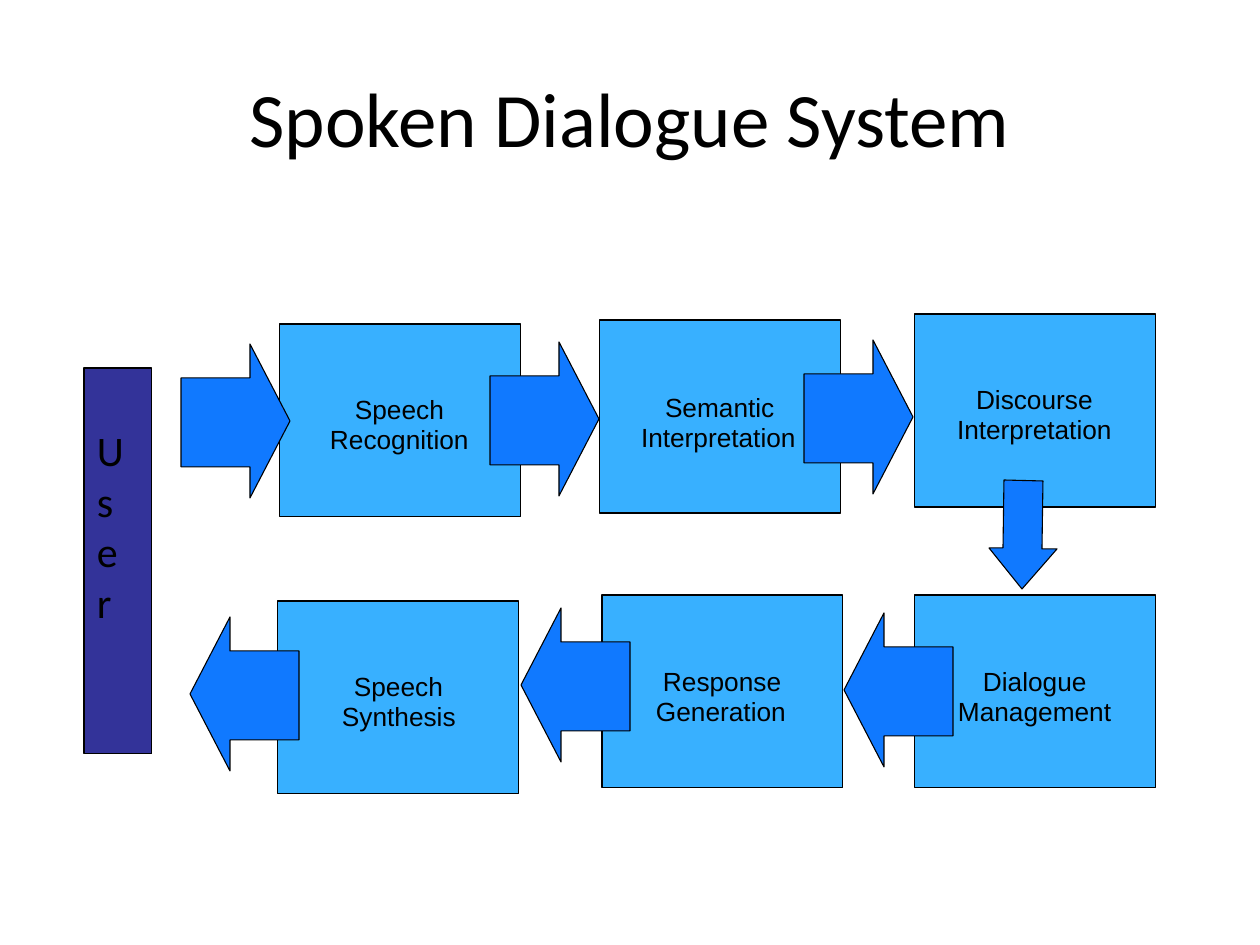
import pptx
import pptx.util
import pptx.dml.color
import pptx.enum.shapes
import pptx.enum.text

EMU_PER_PX = 914400 / 126
ANCHOR = pptx.enum.text.MSO_ANCHOR
ALIGN = pptx.enum.text.PP_ALIGN
AUTO_SIZE = pptx.enum.text.MSO_AUTO_SIZE

ARROW_RIGHT = [(69, 154), (69, 123), (0, 123), (0, 34), (69, 34), (69, 0), (109, 77)]
ARROW_LEFT = [(109 - x, y) for x, y in ARROW_RIGHT]
ARROW_DOWN = [(0, 68), (14, 68), (15, 0), (54, 1), (53, 69), (68, 69), (33, 109)]


def px(length):
    return pptx.util.Emu(round(length * EMU_PER_PX))


def rgb(code):
    return pptx.dml.color.RGBColor.from_string(code)


def write(frame, text, *, font, size, color="000000", align=ALIGN.LEFT,
          anchor=ANCHOR.TOP, margins=(13, 6, 13, 6), wrap=True, fit=AUTO_SIZE.NONE):
    frame.margin_left, frame.margin_top, frame.margin_right, frame.margin_bottom = map(px, margins)
    frame.word_wrap = wrap
    frame.auto_size = fit
    frame.vertical_anchor = anchor
    paragraph = frame.paragraphs[0]
    paragraph.alignment = align
    run = paragraph.add_run()
    run.text = text
    run.font.name = font
    run.font.size = pptx.util.Pt(size)
    run.font.color.rgb = rgb(color)


class DialogueDiagram:
    heading_font = "Calibri"
    label_font = "Arial"
    outline = "000000"
    stage_fill = "38B0FF"
    arrow_fill = "1079FF"
    user_fill = "333399"
    stage_size = (241, 193)
    line_pitch = 30

    def __init__(self, slide):
        self.slide = slide

    def paint(self, shape, fill):
        shape.shadow.inherit = False
        shape.fill.solid()
        shape.fill.fore_color.rgb = rgb(fill)
        shape.line.color.rgb = rgb(self.outline)
        shape.line.width = pptx.util.Pt(0.63)

    def title(self, text, left, top, width, height):
        heading = self.slide.shapes.add_textbox(px(left), px(top), px(width), px(height))
        write(heading.text_frame, text, font=self.heading_font, size=44,
              align=ALIGN.CENTER, anchor=ANCHOR.MIDDLE)

    def box(self, left, top, width, height, fill):
        rectangle = self.slide.shapes.add_shape(
            pptx.enum.shapes.MSO_SHAPE.RECTANGLE, px(left), px(top), px(width), px(height))
        self.paint(rectangle, fill)
        return rectangle

    def stage(self, left, top, label_top, words):
        self.box(left, top, *self.stage_size, self.stage_fill)
        for row, (word, word_left, word_width) in enumerate(words):
            label = self.slide.shapes.add_textbox(
                px(word_left), px(label_top + row * self.line_pitch), px(word_width), px(34))
            write(label.text_frame, word, font=self.label_font, size=15,
                  margins=(0, 0, 0, 0), wrap=False, fit=AUTO_SIZE.SHAPE_TO_FIT_TEXT)

    def arrow(self, left, top, outline):
        corners = [(px(left + x), px(top + y)) for x, y in outline]
        builder = self.slide.shapes.build_freeform(*corners[0])
        builder.add_line_segments(corners[1:], close=True)
        self.paint(builder.convert_to_shape(), self.arrow_fill)

    def user(self, text, left, top, width, height):
        bar = self.box(left, top, width, height, self.user_fill)
        write(bar.text_frame, text, font=self.heading_font, size=24, margins=(13, 57, 13, 6))


STAGES = [
    (278, 601, 670, [("Speech", 354, 103), ("Synthesis", 342, 120)]),
    (280, 324, 393, [("Speech", 355, 103), ("Recognition", 330, 144)]),
    (600, 320, 391, [("Semantic", 665, 122), ("Interpretation", 641, 159)]),
    (602, 595, 665, [("Response", 663, 131), ("Generation", 656, 135)]),
    (915, 595, 665, [("Dialogue", 983, 117), ("Management", 958, 158)]),
    (915, 314, 383, [("Discourse", 976, 130), ("Interpretation", 957, 159)]),
]

ARROWS = [
    (490, 342, ARROW_RIGHT),
    (804, 340, ARROW_RIGHT),
    (989, 480, ARROW_DOWN),
    (844, 613, ARROW_LEFT),
    (521, 608, ARROW_LEFT),
    (190, 617, ARROW_LEFT),
    (181, 344, ARROW_RIGHT),
]


def main():
    deck = pptx.Presentation()
    deck.slide_width, deck.slide_height = px(1260), px(945)
    diagram = DialogueDiagram(deck.slides.add_slide(deck.slide_layouts[6]))
    diagram.title("Spoken Dialogue System", 63, 38, 1134, 158)
    for stage in STAGES:
        diagram.stage(*stage)
    for arrow in ARROWS:
        diagram.arrow(*arrow)
    diagram.user("Us e r", 84, 368, 68, 386)
    deck.save("out.pptx")


if __name__ == "__main__":
    main()
